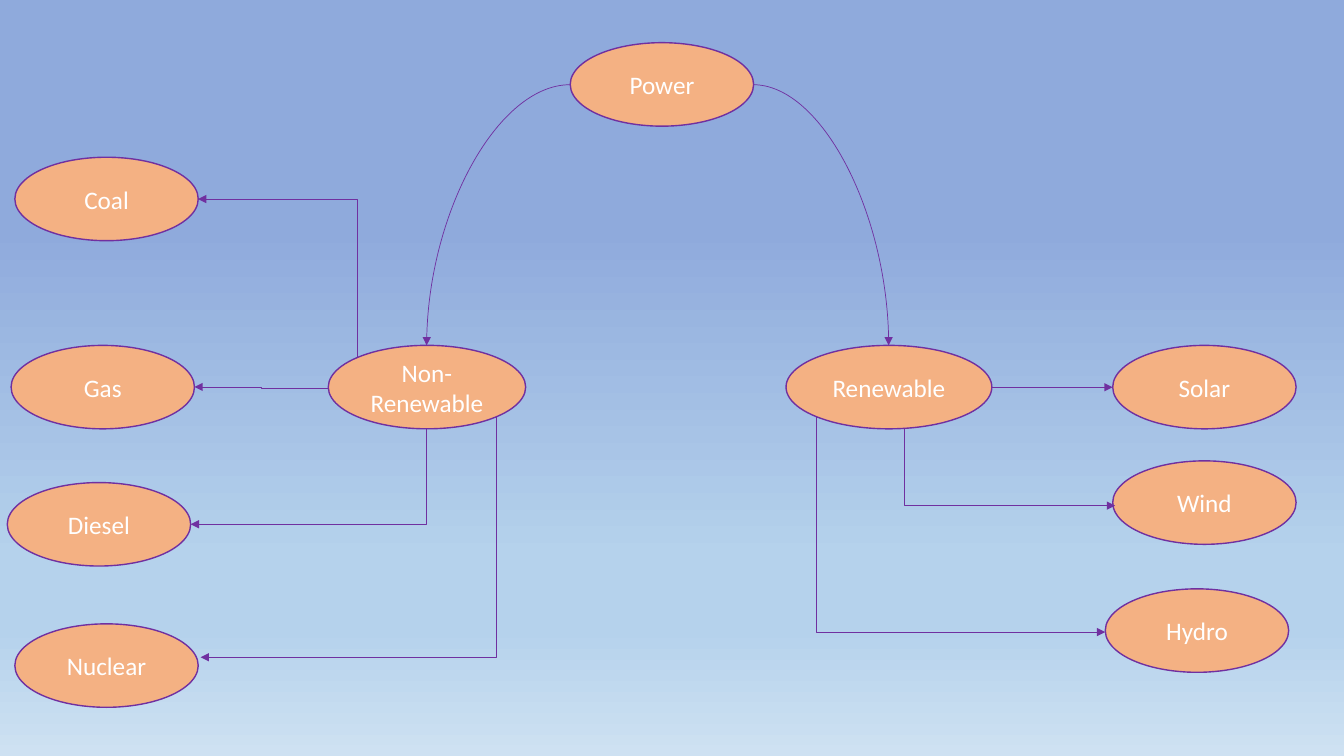
"""Build a slide with a tree of renewable and non-renewable power sources."""
from dataclasses import dataclass

from pptx import Presentation
from pptx import util as u
from pptx.dml.color import RGBColor
from pptx.enum import shapes, text
from pptx.oxml import parse_xml
from pptx.oxml.ns import nsdecls, qn


@dataclass(frozen=True)
class Theme:
    fill: str = "F4B183"
    line: str = "7030A0"
    text: str = "FFFFFF"
    sky: tuple = ((30, "8FAADC"), (74, "B5D2EC"), (83, "B5D2EC"), (100, "CEE1F2"))
    font: str = "Calibri"
    size: float = 18
    outline: float = 1
    arrow: float = 0.5


theme = Theme()
presentation = Presentation()
presentation.slide_width = u.Pt(960)
presentation.slide_height = u.Pt(540)
slide = presentation.slides.add_slide(presentation.slide_layouts[6])

background = slide.background.fill
background.gradient()
background.gradient_angle = 270
stops = slide._element.find(".//" + qn("a:gsLst"))
stops.clear()
for percent, colour in theme.sky:
    stops.append(parse_xml(
        f'<a:gs {nsdecls("a")} pos="{percent * 1000}"><a:srgbClr val="{colour}"/></a:gs>'))

node_width, node_height, middle_row = 131, 59.6, 246.7
nodes = [
    ("Power", 407.3, 30.5, node_width),
    ("Renewable", 561.5, middle_row, 147),
    ("Non-Renewable", 234.5, middle_row, 141),
    ("Coal", 10.6, 112.3, node_width),
    ("Gas", 7.9, middle_row, node_width),
    ("Diesel", 5.2, 344.7, node_width),
    ("Nuclear", 10.6, 445.6, node_width),
    ("Solar", 794.8, middle_row, node_width),
    ("Wind", 794.8, 329.2, node_width),
    ("Hydro", 789.5, 420.6, node_width),
]
for label, left, top, width in nodes:
    node = slide.shapes.add_shape(
        shapes.MSO_SHAPE.OVAL, u.Pt(left), u.Pt(top), u.Pt(width), u.Pt(node_height))
    node.shadow.inherit = False
    node.fill.solid()
    node.fill.fore_color.rgb = RGBColor.from_string(theme.fill)
    node.line.color.rgb = RGBColor.from_string(theme.line)
    node.line.width = u.Pt(theme.outline)
    frame = node.text_frame
    frame.text = label
    frame.word_wrap = True
    frame.vertical_anchor = text.MSO_ANCHOR.MIDDLE
    paragraph = frame.paragraphs[0]
    paragraph.alignment = text.PP_ALIGN.CENTER
    paragraph.font.name = theme.font
    paragraph.font.size = u.Pt(theme.size)
    paragraph.font.color.rgb = RGBColor.from_string(theme.text)

curve, elbow = shapes.MSO_CONNECTOR.CURVE, shapes.MSO_CONNECTOR.ELBOW
arrows = [
    (curve, "curvedConnector2", 0, (538, 60.5), (634.8, 246.7)),
    (curve, "curvedConnector2", 0, (407.3, 60.5), (304.8, 246.7)),
    (elbow, "bentConnector2", 270, (255.2, 255.4), (141.5, 142.2)),
    (elbow, "bentConnector3", 0, (234.5, 277.2), (138.9, 276.4)),
    (elbow, "bentConnector2", 90, (304.8, 306.3), (136.2, 374.5)),
    (elbow, "bentConnector2", 90, (354.8, 297.6), (143.3, 469.5)),
    (elbow, "bentConnector3", 0, (708.5, 276.5), (794.8, 276.6)),
    (elbow, "bentConnector2", 270, (646, 306.3), (796.5, 361.2)),
    (elbow, "bentConnector2", 270, (583.2, 297.6), (789.5, 451.5)),
]
for kind, preset, rotation, start, end in arrows:
    if rotation:
        turn = 1 if rotation == 270 else -1
        center_x, center_y = (start[0] + end[0]) / 2, (start[1] + end[1]) / 2
        start, end = [
            (center_x - turn * (y - center_y), center_y + turn * (x - center_x))
            for x, y in (start, end)]
    arrow = slide.shapes.add_connector(kind, *[u.Pt(value) for value in (*start, *end)])
    arrow.line.color.rgb = RGBColor.from_string(theme.line)
    arrow.line.width = u.Pt(theme.arrow)
    arrow.line._get_or_add_ln().append(
        parse_xml(f'<a:tailEnd {nsdecls("a")} type="triangle"/>'))
    properties = arrow._element.spPr
    properties.find(qn("a:prstGeom")).set("prst", preset)
    if rotation:
        properties.find(qn("a:xfrm")).set("rot", str(rotation * 60000))
    properties.append(parse_xml(f'<a:effectLst {nsdecls("a")}/>'))

presentation.save("out.pptx")
